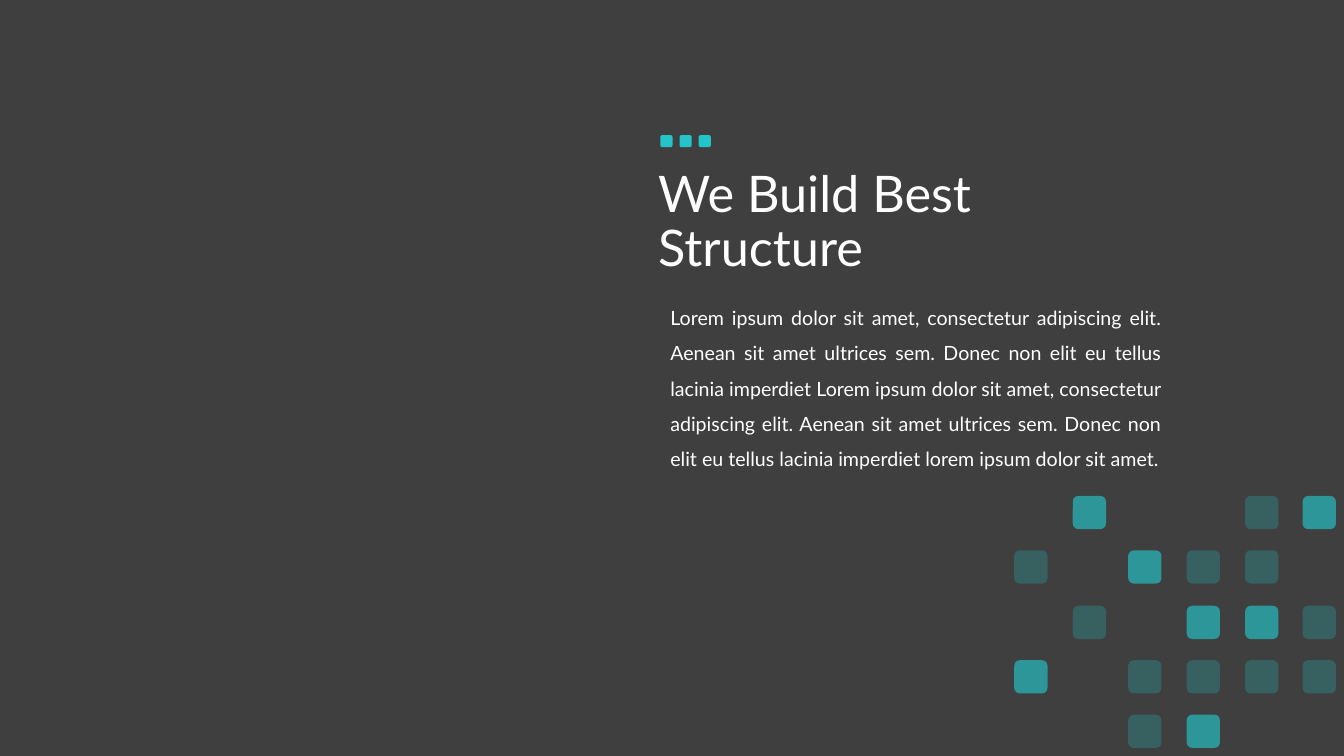
from dataclasses import dataclass

from lxml import etree
from pptx import Presentation
from pptx.dml.color import RGBColor
from pptx.enum import shapes, text
from pptx.oxml.ns import qn
from pptx.util import Inches, Pt


@dataclass(frozen=True)
class Theme:
    background: RGBColor = RGBColor(0x3F, 0x3F, 0x3F)
    accent: RGBColor = RGBColor(0x23, 0xC5, 0xCA)
    white: RGBColor = RGBColor(0xFF, 0xFF, 0xFF)
    font: str = "Lato"
    title_size: int = 36
    body_size: int = 14


theme = Theme()


def add_square(group, left, top, side, opacity=100):
    square = group.shapes.add_shape(
        shapes.MSO_SHAPE.ROUNDED_RECTANGLE,
        Inches(left), Inches(top), Inches(side), Inches(side))
    square.shadow.inherit = False
    square.line.fill.background()
    square.fill.solid()
    square.fill.fore_color.rgb = theme.accent
    if opacity < 100:
        color = square.fill._xPr.find(".//" + qn("a:srgbClr"))
        etree.SubElement(color, qn("a:alpha")).set("val", str(opacity * 1000))


def add_text(page, area, words, size, spacing):
    box = page.shapes.add_textbox(*map(Inches, area))
    frame = box.text_frame
    frame.word_wrap = True
    frame.text = words
    para = frame.paragraphs[0]
    para.line_spacing = spacing
    for span in para.runs:
        span.font.name = theme.font
        span.font.size = Pt(size)
        span.font.color.rgb = theme.white
    return frame


# Deck and background
deck = Presentation()
deck.slide_width, deck.slide_height = Inches(13.33), Inches(7.5)
page = deck.slides.add_slide(deck.slide_layouts[6])
page.background.fill.solid()
page.background.fill.fore_color.rgb = theme.background

# Mosaic in the corner: B is a bright square, d a dim one
mosaic = [
    ".B..dB",
    "d.Bdd.",
    ".d.BBd",
    "B.dddd",
    "..dB..",
]
opacities = {"B": 65, "d": 25}
column_lefts = [10.06, 10.64, 11.19, 11.77, 12.35, 12.92]
row_tops = [4.92, 5.46, 6.01, 6.55, 7.09]
mosaic_group = page.shapes.add_group_shape()
for top, row in zip(row_tops, mosaic):
    for left, mark in zip(column_lefts, row):
        if mark in opacities:
            add_square(mosaic_group, left, top, 0.33, opacities[mark])

# Title
title = add_text(page, (6.43, 1.49, 6.5, 1.45), "We Build Best\vStructure",
                 theme.title_size, 0.9)
title.vertical_anchor = text.MSO_ANCHOR.MIDDLE

# Body text
body = add_text(
    page, (6.55, 2.87, 5.07, 1.82),
    "Lorem ipsum dolor sit amet, consectetur adipiscing elit. Aenean sit amet "
    "ultrices sem. Donec non elit eu tellus lacinia imperdiet Lorem ipsum dolor "
    "sit amet, consectetur adipiscing elit. Aenean sit amet ultrices sem. Donec "
    "non elit eu tellus lacinia imperdiet lorem ipsum dolor sit amet.",
    theme.body_size, 1.5)
body.paragraphs[0].alignment = text.PP_ALIGN.JUSTIFY
body.auto_size = text.MSO_AUTO_SIZE.SHAPE_TO_FIT_TEXT

# Three small squares above the title
accent_group = page.shapes.add_group_shape()
for index in range(3):
    add_square(accent_group, 6.55 + 0.19 * index, 1.34, 0.12)

deck.save("out.pptx")
